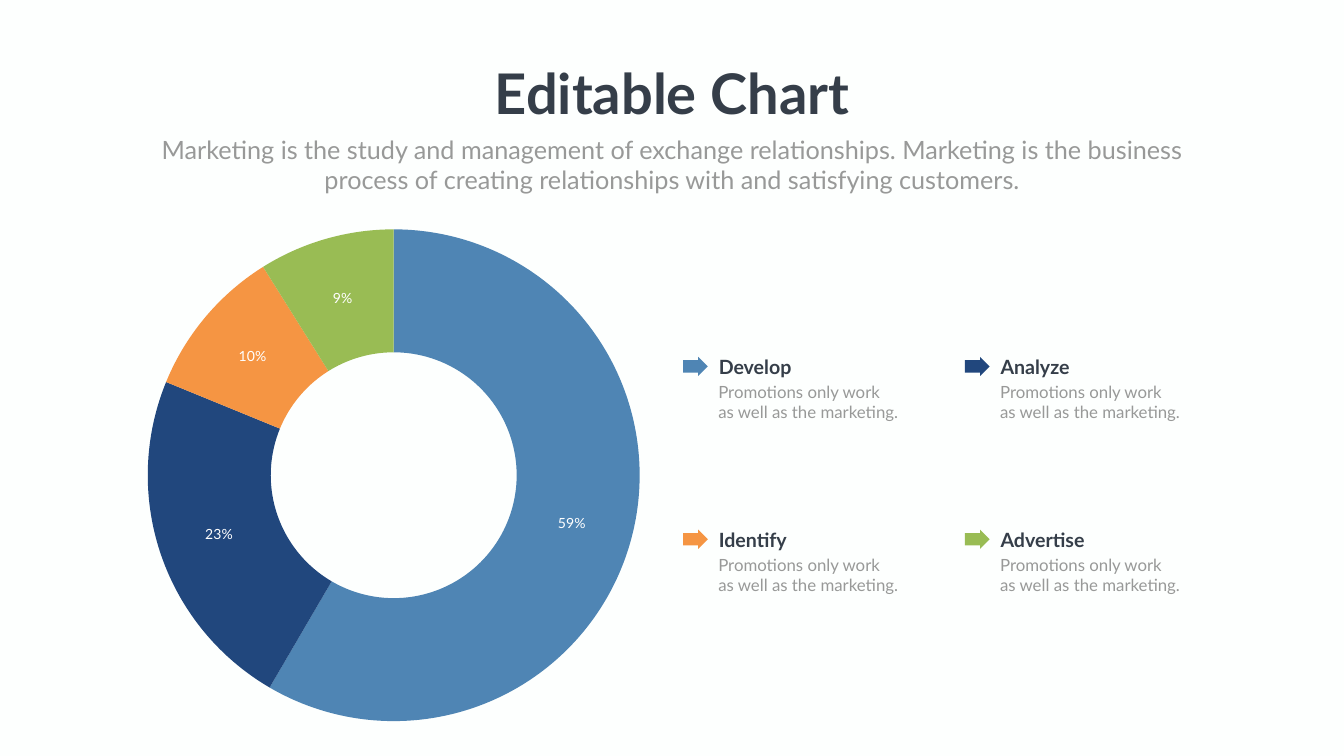
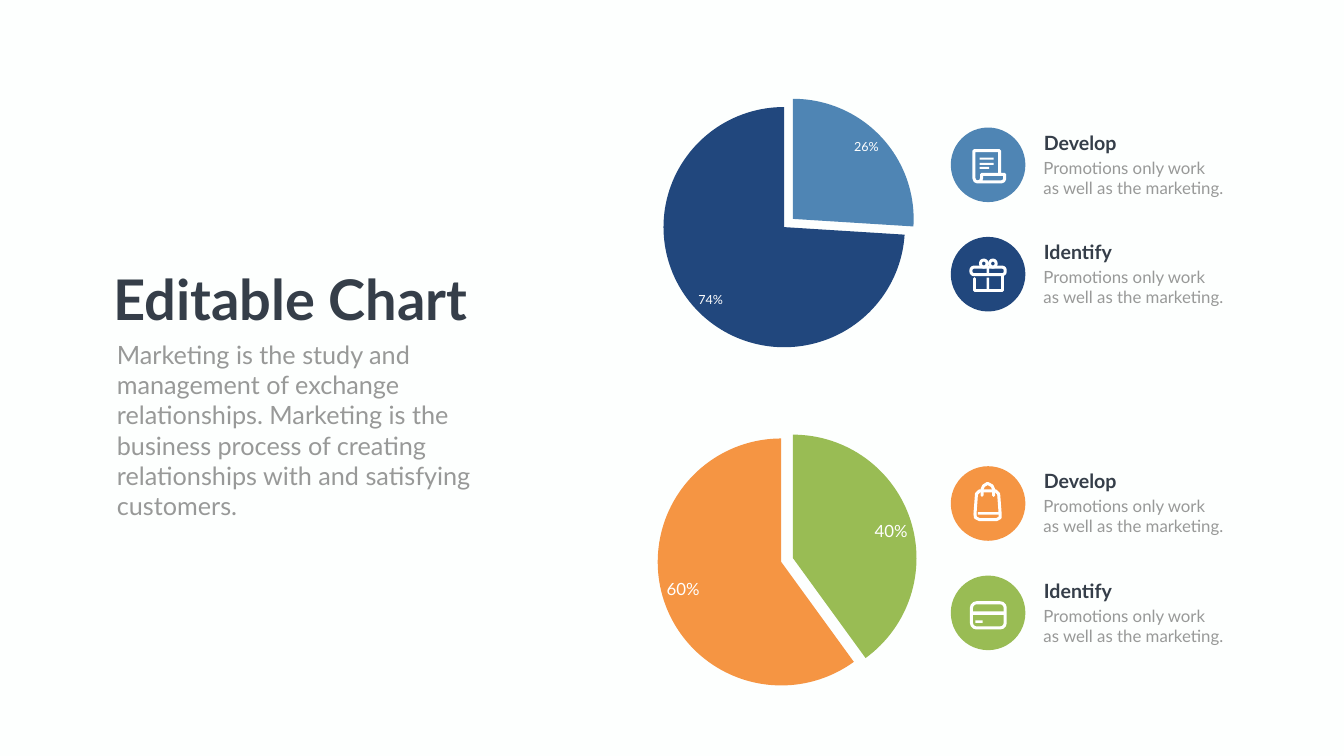
from dataclasses import dataclass

from lxml.etree import SubElement
from pptx import Presentation
from pptx.chart.data import CategoryChartData
from pptx.dml.color import RGBColor
from pptx.enum.chart import XL_CHART_TYPE, XL_LABEL_POSITION
from pptx.enum.shapes import MSO_SHAPE
from pptx.enum.text import MSO_AUTO_SIZE, PP_ALIGN
from pptx.oxml import parse_xml
from pptx.oxml.ns import nsdecls, qn
from pptx.util import Pt

PX = 9144


@dataclass(frozen=True)
class Theme:
    """Colours, font and type sizes shared by the slides."""
    font: str = "Lato"
    paper: str = "FDFFFE"
    ink: str = "353E49"
    grey: str = "989998"
    white: str = "FFFFFF"
    blue: str = "4F85B4"
    navy: str = "21477D"
    orange: str = "F59543"
    green: str = "99BC54"
    title: int = 80
    lead: int = 36
    head: int = 28
    body: int = 24
    stroke: int = 6


T = Theme()
TITLE = "Editable Chart"
LEAD = ("Marketing is the study and management of exchange relationships. "
        "Marketing is the business process of creating relationships with "
        "and satisfying customers.")
BODY = "Promotions only work\nas well as the marketing."


def rgb(color):
    """Turn a hex string into a colour."""
    return RGBColor.from_string(color)


def emu(*lengths):
    """Turn px lengths into EMU."""
    return [v * PX for v in lengths]


def set_font(font, size, color, bold=False):
    """Apply the theme font with a size and a colour."""
    font.name, font.size, font.bold = T.font, Pt(size), bold
    font.color.rgb = rgb(color)


def add_text(s, box, text, size, color, bold=False, align=PP_ALIGN.LEFT, wrap=True):
    """Add a text box with one style throughout."""
    tf = s.shapes.add_textbox(*emu(*box)).text_frame
    tf.text = text
    tf.word_wrap = wrap
    tf.auto_size = MSO_AUTO_SIZE.SHAPE_TO_FIT_TEXT
    for p in tf.paragraphs:
        p.alignment = align
        for r in p.runs:
            set_font(r.font, size, color, bold)


def add_filled(s, kind, box, color, adjust=()):
    """Add a preset shape with a flat fill and no line."""
    sp = s.shapes.add_shape(kind, *emu(*box))
    sp.shadow.inherit = False
    sp.fill.solid()
    sp.fill.fore_color.rgb = rgb(color)
    sp.line.fill.background()
    for i, value in enumerate(adjust):
        sp.adjustments[i] = value
    return sp


def set_outline(sp):
    """Leave a shape as a white outline with round ends and joins."""
    sp.shadow.inherit = False
    sp.fill.background()
    sp.line.color.rgb = rgb(T.white)
    sp.line.width = T.stroke * PX
    ln = sp._element.spPr.find(qn("a:ln"))
    ln.set("cap", "rnd")
    SubElement(ln, qn("a:round"))


def add_bars(s, x, y, *boxes):
    """Add small white bars placed from an icon's corner."""
    for bx, by, w, h in boxes:
        add_filled(s, MSO_SHAPE.RECTANGLE, (x + bx, y + by, w, h), T.white)


def add_ring(s, x, y, w, h, radius):
    """Add a rounded outline whose outer edge is the given box."""
    inset = T.stroke // 2
    sp = s.shapes.add_shape(MSO_SHAPE.ROUNDED_RECTANGLE, *emu(
        x + inset, y + inset, w - T.stroke, h - T.stroke))
    sp.adjustments[0] = radius
    set_outline(sp)


def add_stroke(s, x, y, points, close=False):
    """Add a white stroke through points placed from an icon's corner."""
    path = [(x + px, y + py) for px, py in points]
    fb = s.shapes.build_freeform(*path[0], scale=PX)
    fb.add_line_segments(path[1:], close=close)
    set_outline(fb.convert_to_shape())


def draw_receipt(s, x, y):
    """Draw a receipt icon."""
    add_stroke(s, x, y, [(97, 93), (97, 46), (46, 46), (46, 101), (48, 106),
                         (53, 108), (59, 106), (61, 101), (61, 93), (107, 93),
                         (107, 102), (105, 106), (100, 108), (53, 108)])
    add_bars(s, x, y, (57, 60, 28, 4), (57, 70, 28, 4), (57, 78, 19, 4))


def draw_gift(s, x, y):
    """Draw a gift icon."""
    for left in (56, 74):
        add_ring(s, x + left, y + 43, 19, 20, 0.5)
    add_bars(s, x, y, (71, 59, 5, 16), (71, 81, 5, 27))
    add_stroke(s, x, y, [(48, 83), (48, 107), (102, 107), (102, 75)])
    add_ring(s, x + 37, y + 57, 74, 21, 0.4)


def draw_bag(s, x, y):
    """Draw a shopping bag icon."""
    add_bars(s, x, y, (54, 91, 43, 5))
    add_stroke(s, x, y, [(57, 49), (89, 49), (95, 55), (98, 95), (98, 102),
                         (91, 106), (57, 106), (49, 102), (48, 95), (51, 55)], True)
    add_stroke(s, x, y, [(62, 58), (62, 46), (65, 39), (73, 34),
                         (82, 39), (85, 46), (85, 58)])


def draw_card(s, x, y):
    """Draw a payment card icon."""
    add_bars(s, x, y, (42, 71, 66, 7), (49, 89, 14, 5))
    add_ring(s, x + 38, y + 51, 73, 56, 0.2)


def add_entry(s, x, y, head):
    """Add a bold heading with its two lines of text."""
    add_text(s, (x + 1, y, 220, 57), head, T.head, T.ink, True)
    add_text(s, (x, y + 53, 390, 91), BODY, T.body, T.grey)


def add_arrow_entry(s, x, y, head, color):
    """Add an entry marked by an arrow."""
    add_entry(s, x + 60, y, head)
    add_filled(s, MSO_SHAPE.RIGHT_ARROW, (x, y + 9, 49, 38), color, (0.642, 0.5))


def add_icon_entry(s, x, y, head, color, draw):
    """Add an entry marked by an icon in a circle."""
    add_filled(s, MSO_SHAPE.OVAL, (x, y, 148, 148), color)
    add_entry(s, x + 174, y + 1, head)
    draw(s, x, y)


def add_layout(chart, box, share):
    """Centre a square plot that takes a share of the chart's height."""
    w, h = round(share * box[3] / box[2], 2), share
    values = {"xMode": "edge", "yMode": "edge", "x": round((1 - w) / 2, 3),
              "y": round((1 - h) / 2, 3), "w": w, "h": h}
    layout = parse_xml(f'<c:layout {nsdecls("c")}><c:manualLayout>'
                       '<c:layoutTarget val="inner"/></c:manualLayout></c:layout>')
    for name, value in values.items():
        SubElement(layout[0], qn(f"c:{name}")).set("val", str(value))
    area = chart._chartSpace.chart.plotArea
    for old in area.findall(qn("c:layout")):
        area.remove(old)
    area.insert(0, layout)


def add_share_chart(s, kind, box, slices, size, share):
    """Add a round chart from (value, colour) slices."""
    data = CategoryChartData()
    data.categories = [str(i + 1) for i in range(len(slices))]
    data.add_series("Series 1", [value for value, _ in slices])
    chart = s.shapes.add_chart(kind, *emu(*box), data).chart
    chart.has_title = chart.has_legend = False
    set_font(chart.font, size, T.grey)
    add_layout(chart, box, share)
    plot = chart.plots[0]
    plot.vary_by_categories = True
    plot.has_data_labels = True
    labels = plot.data_labels
    labels.show_value, labels.show_percentage = True, False
    labels.number_format, labels.number_format_is_linked = '0"%"', False
    set_font(labels.font, size, T.white)
    for i, (_, color) in enumerate(slices):
        fmt = plot.series[0].points[i].format
        fmt.fill.solid()
        fmt.fill.fore_color.rgb = rgb(color)
        fmt.line.fill.background()
    return plot


def add_doughnut(s, box, slices):
    """Add a doughnut chart."""
    plot = add_share_chart(s, XL_CHART_TYPE.DOUGHNUT, box, slices, 20, 0.97)
    hole = next(plot._element.iter(qn("c:holeSize")))
    hole.set("val", "30")


def add_pie(s, box, slices, size):
    """Add a pie chart whose last slice is pulled out."""
    plot = add_share_chart(s, XL_CHART_TYPE.PIE, box, slices, size, 0.95)
    plot.data_labels.position = XL_LABEL_POSITION.INSIDE_END
    point = list(plot._element.iter(qn("c:dPt")))[-1]
    explosion = SubElement(point, qn("c:explosion"))
    explosion.set("val", "10")
    point.find(qn("c:spPr")).addprevious(explosion)


def add_heading(s, title_box, lead_box, align):
    """Add the slide title and its lead text."""
    add_text(s, title_box, TITLE, T.title, T.ink, True, align, wrap=False)
    add_text(s, lead_box, LEAD, T.lead, T.grey, align=align)


def new_slide(prs):
    """Add a blank slide with the shared background."""
    s = prs.slides.add_slide(prs.slide_layouts[6])
    s.background.fill.solid()
    s.background.fill.fore_color.rgb = rgb(T.paper)
    return s


def build_doughnut_slide(prs):
    """Build the slide with one doughnut and a grid of entries."""
    s = new_slide(prs)
    add_heading(s, (965, 112, 737, 145), (292, 261, 2082, 131), PP_ALIGN.CENTER)
    add_doughnut(s, (232, 440, 1098, 1006),
                 [(59, T.blue), (23, T.navy), (10, T.orange), (9, T.green)])
    entries = [("Develop", T.blue), ("Analyze", T.navy),
               ("Identify", T.orange), ("Advertise", T.green)]
    for i, (head, color) in enumerate(entries):
        row, col = divmod(i, 2)
        add_arrow_entry(s, 1355 + 559 * col, 699 + 343 * row, head, color)


def build_pies_slide(prs):
    """Build the slide with two pies, each with two entries."""
    s = new_slide(prs)
    add_heading(s, (215, 519, 737, 145), (222, 668, 865, 313), PP_ALIGN.LEFT)
    add_pie(s, (1193, 182, 760, 507), [(26, T.blue), (74, T.navy)], 18)
    add_pie(s, (1184, 848, 778, 519), [(40, T.green), (60, T.orange)], 24)
    groups = [(253, (T.blue, draw_receipt), (T.navy, draw_gift)),
              (925, (T.orange, draw_bag), (T.green, draw_card))]
    for top, first, second in groups:
        add_icon_entry(s, 1886, top, "Develop", *first)
        add_icon_entry(s, 1886, top + 217, "Identify", *second)


def main():
    """Build and save the presentation."""
    prs = Presentation()
    prs.slide_width, prs.slide_height = emu(2666, 1500)
    build_doughnut_slide(prs)
    build_pies_slide(prs)
    prs.save("out.pptx")


if __name__ == "__main__":
    main()
